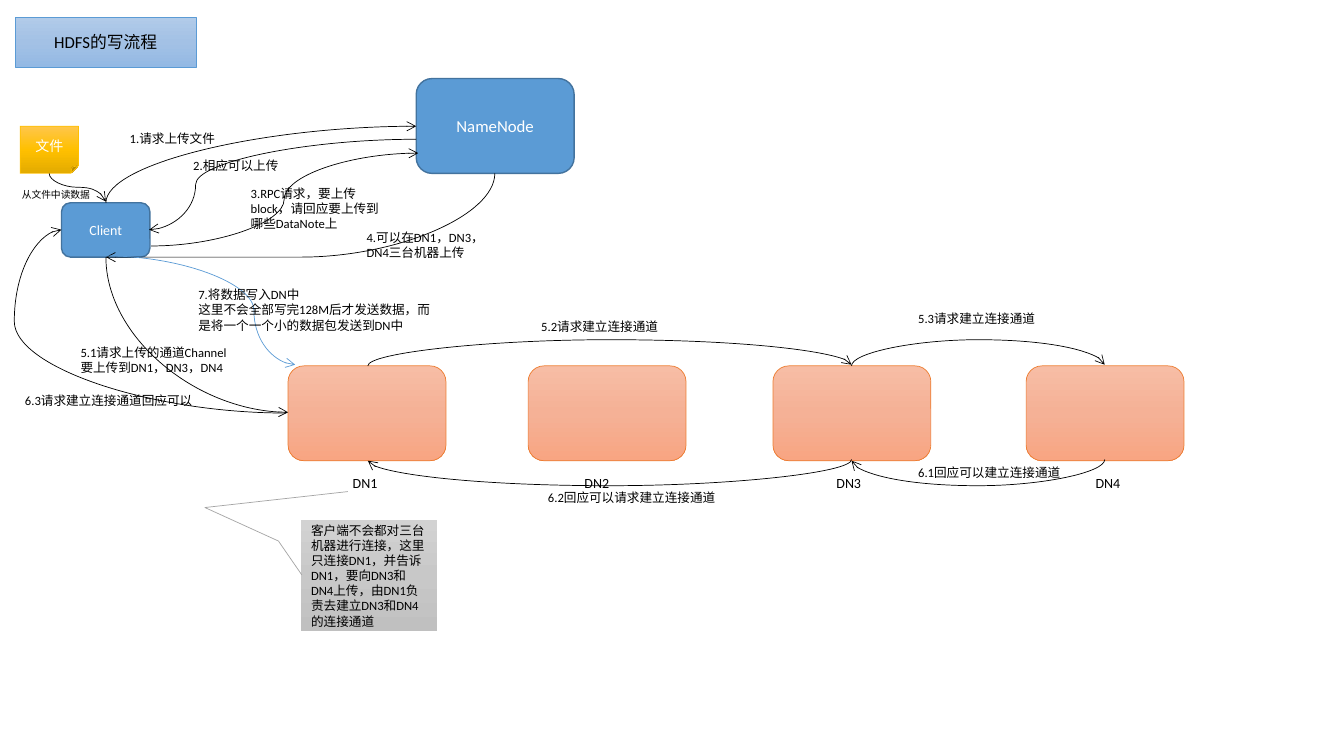
from copy import deepcopy
from lxml.etree import SubElement
from pptx import Presentation
from pptx.dml.color import RGBColor
from pptx.enum.lang import MSO_LANGUAGE_ID
from pptx.enum.shapes import MSO_CONNECTOR, MSO_SHAPE
from pptx.enum.text import MSO_ANCHOR, MSO_AUTO_SIZE, PP_ALIGN
from pptx.oxml.ns import qn
from pptx.util import Cm, Pt

THEME = {
    "font": "Calibri", "black": "000000", "white": "FFFFFF", "accent": "5B9BD5",
    "large": 12, "medium": 10, "body": 9, "small": 7, "hairline": 0.5,
}
# fill colours (one is solid, three are a gradient), line colour, line width, text colour
STYLES = {
    "title": (["B1CBE9", "A3C1E5", "93B9E4"], "5B9BD5", 0.5, "black"),
    "host": (["5B9BD5"], "43739E", 1, "white"),
    "data": (["F7BDA5", "F5B196", "F8A582"], "ED7D31", 0.5, "black"),
    "file": (["FFC64B", "FFC000", "E3AB00"], "FFC000", 0.5, "white"),
    "note": (["D2D2D2", "C8C8C8", "C0C0C0"], "A5A5A5", 0.5, "black"),
}

# All positions are in centimetres: left, top, width, height
TITLE = ("HDFS的写流程", (0.38, 0.43, 4.57, 1.27))
HOSTS = [
    ("Client", (1.55, 5.11, 2.23, 1.37), "medium"),
    ("NameNode", (10.49, 1.98, 3.98, 2.39), "large"),
]
FILE = ("文件", (0.51, 3.18, 1.47, 1.19))
NOTE = ("客户端不会都对三台机器进行连接，这里只连接DN1，并告诉DN1，要向DN3和DN4上传，"
        "由DN1负责去建立DN3和DN4的连接通道", (7.59, 13.11, 3.43, 2.79))
NOTE_LEADER = (0.494, 0.005, 0.188, -0.167, -0.115, -0.707, -0.259, 0.344)

# name, left of the node, left of its label
DATA_NODES = [("DN1", 7.26, 8.64), ("DN2", 13.31, 14.48),
              ("DN3", 19.48, 20.83), ("DN4", 25.86, 27.36)]
NODE_TOP, NODE_SIZE = 9.22, (3.98, 2.39)
LABEL_TOP, LABEL_SIZE = 11.84, (1.27, 0.69)

STEPS = [
    (["1.请求上传文件"], (3.02, 3.18, 2.97, 0.64)),
    (["2.相应可以上传"], (4.62, 3.86, 2.97, 0.64)),
    (["3.RPC请求，要上传block，请回应要上传到哪些DataNote上"], (6.07, 4.55, 3.91, 1.4)),
    (["4.可以在DN1，DN3，DN4三台机器上传"], (8.99, 5.66, 3.51, 1.02)),
    (["5.1请求上传的通道Channel", "要上传到DN1，DN3，DN4"], (1.78, 8.56, 4.55, 1.02)),
    (["5.2请求建立连接通道"], (13.39, 7.92, 3.96, 0.64)),
    (["5.3请求建立连接通道"], (22.89, 7.72, 3.96, 0.64)),
    (["6.1回应可以建立连接通道"], (22.89, 11.58, 4.27, 0.64)),
    (["6.2回应可以请求建立连接通道"], (13.56, 12.22, 4.93, 0.64)),
    (["6.3请求建立连接通道回应可以"], (0.38, 9.78, 4.83, 0.64)),
    (["7.将数据写入DN中", "这里不会全部写完128M后才发送数据，而是将一个一个小的数据包发送到DN中"],
     (4.75, 7.11, 6.5, 1.4)),
]
READ_LABEL = (["从文件中读数据"], (0.3, 4.62, 2.39, 0.56))

# start, end, first direction, coordinate of the bend (None: a quarter turn), colour
ARROWS = [
    ((2.67, 5.11), (10.49, 3.18), "v", None, "black"),
    ((10.49, 3.51), (3.76, 5.79), "h", 4.93, "black"),
    ((3.81, 6.2), (10.54, 3.86), "h", 7.16, "black"),
    ((12.47, 4.37), (2.67, 6.48), "v", 6.48, "black"),
    ((2.67, 6.48), (7.26, 10.39), "v", None, "black"),
    ((9.27, 9.22), (21.46, 9.19), "v", 8.56, "black"),
    ((21.46, 9.22), (27.84, 9.19), "v", 8.56, "black"),
    ((27.84, 11.58), (21.46, 11.61), "v", 12.24, "black"),
    ((21.46, 11.58), (9.27, 11.61), "v", 12.24, "black"),
    ((7.21, 10.41), (1.55, 5.79), "h", 0.36, "black"),
    ((1.24, 4.37), (2.67, 5.08), "v", 4.72, "black"),
    ((2.69, 6.45), (7.44, 9.19), "h", 6.4, "accent"),
]


def set_attrs(obj, values):
    """Set each named value on the object."""
    for name, value in values.items():
        setattr(obj, name, value)


def cm(lengths):
    """Turn numbers into centimetre lengths."""
    return [Cm(n) for n in lengths]


def write(sp, lines, size, color="black", align=PP_ALIGN.LEFT, **frame):
    """Write one paragraph per line in the theme font."""
    tf = sp.text_frame
    set_attrs(tf, {"word_wrap": True, "auto_size": MSO_AUTO_SIZE.NONE, **frame})
    for i, line in enumerate(lines):
        p = tf.add_paragraph() if i else tf.paragraphs[0]
        p.alignment = align
        r = p.add_run()
        r.text = line
        set_attrs(r.font, {"name": THEME["font"], "size": Pt(THEME[size]),
                           "language_id": MSO_LANGUAGE_ID.SIMPLIFIED_CHINESE})
        r.font.color.rgb = RGBColor.from_string(THEME[color])


def paint(sp, style):
    """Give a shape the fill and outline of a style."""
    colors, line, width, _ = STYLES[style]
    fill = sp.fill
    if len(colors) == 1:
        fill.solid()
        fill.fore_color.rgb = RGBColor.from_string(colors[0])
    else:
        fill.gradient()
        fill.gradient_angle = 270
        stops = sp._element.spPr.find(".//" + qn("a:gsLst"))
        stops.insert(1, deepcopy(stops[0]))
        for i, (stop, color) in enumerate(zip(fill.gradient_stops, colors)):
            stop.position = i / 2
            stop.color.rgb = RGBColor.from_string(color)
    sp.line.color.rgb = RGBColor.from_string(line)
    sp.line.width = Pt(width)


def add_box(s, kind, box, style, text="", size="body", align=PP_ALIGN.CENTER):
    """Add a styled preset shape with optional text."""
    sp = s.shapes.add_shape(kind, *cm(box))
    sp.shadow.inherit = False
    paint(sp, style)
    if text:
        write(sp, [text], size, STYLES[style][3], align, vertical_anchor=MSO_ANCHOR.MIDDLE)
    return sp


def add_label(s, lines, box, size="body", **frame):
    """Add a plain text box."""
    write(s.shapes.add_textbox(*cm(box)), lines, size, **frame)


def add_arrow(s, start, end, direction, bend, color):
    """Add a curved arrow; one that starts vertically is a turned horizontal one."""
    (x1, y1), (x2, y2) = start, end
    dx, dy = x2 - x1, y2 - y1
    ends, turn = (x1, y1, x2, y2), 0
    if direction == "v":
        turn = 90 if dy > 0 else 270
        mx, my, half = (x1 + x2) / 2, (y1 + y2) / 2, abs(dy) / 2
        rise = abs(dx) / 2 * (-1 if (dx > 0) == (dy > 0) else 1)
        ends = (mx - half, my - rise, mx + half, my + rise)
    c = s.shapes.add_connector(MSO_CONNECTOR.CURVE, *cm(ends))
    c.line.color.rgb = RGBColor.from_string(THEME[color])
    c.line.width = Pt(THEME["hairline"])
    pr = c._element.spPr
    pr.find(qn("a:xfrm")).set("rot", str(turn * 60000))
    geom = pr.find(qn("a:prstGeom"))
    if bend is None:
        geom.set("prst", "curvedConnector2")
    else:
        share = (bend - x1) / dx if direction == "h" else (bend - y1) / dy
        SubElement(geom.find(qn("a:avLst")), qn("a:gd"),
                   name="adj1", fmla=f"val {round(share * 100000)}")
    SubElement(pr.find(qn("a:ln")), qn("a:tailEnd"), type="arrow")
    SubElement(pr, qn("a:effectLst"))


prs = Presentation()
set_attrs(prs, {"slide_width": Cm(33.87), "slide_height": Cm(19.05)})
s = prs.slides.add_slide(prs.slide_layouts[5])

title = s.shapes.title
set_attrs(title, dict(zip(("left", "top", "width", "height"), cm(TITLE[1]))))
paint(title, "title")
write(title, [TITLE[0]], "large", align=PP_ALIGN.CENTER, vertical_anchor=MSO_ANCHOR.MIDDLE)

for name, box, size in HOSTS:
    add_box(s, MSO_SHAPE.ROUNDED_RECTANGLE, box, "host", name, size)
for name, left, label_left in DATA_NODES:
    add_box(s, MSO_SHAPE.ROUNDED_RECTANGLE, (left, NODE_TOP, *NODE_SIZE), "data")
    add_label(s, [name], (label_left, LABEL_TOP, *LABEL_SIZE), "medium", word_wrap=False)
add_box(s, MSO_SHAPE.FOLDED_CORNER, FILE[1], "file", FILE[0], "medium")
note = add_box(s, MSO_SHAPE.LINE_CALLOUT_3_NO_BORDER, NOTE[1], "note", NOTE[0],
               align=PP_ALIGN.LEFT)
for i, value in enumerate(NOTE_LEADER):
    note.adjustments[i] = value
for arrow in ARROWS:
    add_arrow(s, *arrow)
for lines, box in STEPS:
    add_label(s, lines, box)
add_label(s, *READ_LABEL, "small")

prs.save("out.pptx")
